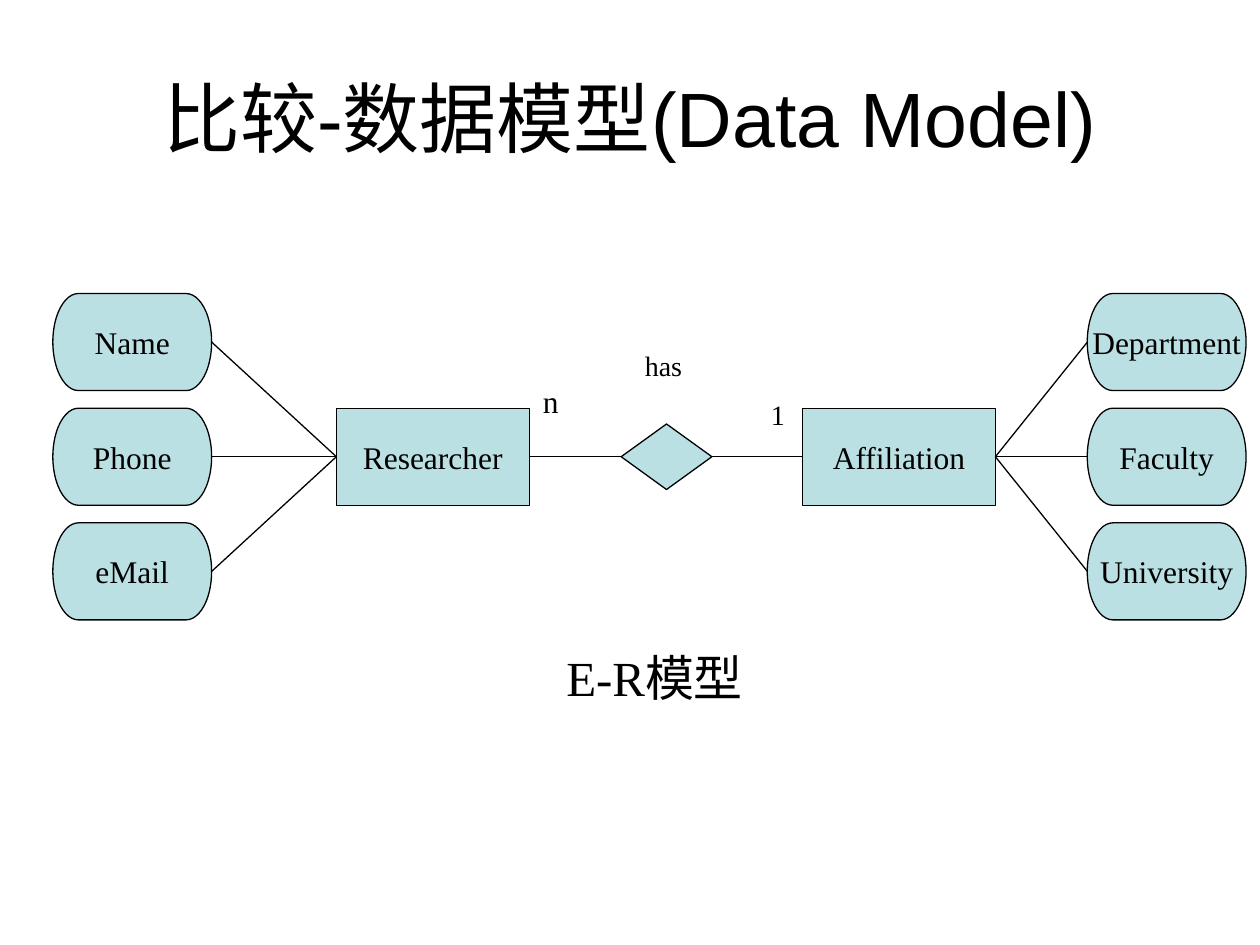
from lxml import etree
from pptx import Presentation
from pptx.dml.color import RGBColor
from pptx.enum.shapes import MSO_CONNECTOR, MSO_SHAPE
from pptx.enum.text import MSO_ANCHOR, MSO_AUTO_SIZE, PP_ALIGN
from pptx.oxml.ns import qn
from pptx.util import Inches, Pt

LINE = MSO_CONNECTOR.STRAIGHT
ENTITY = MSO_SHAPE.FLOWCHART_PROCESS
RELATION = MSO_SHAPE.FLOWCHART_DECISION
FIELD = MSO_SHAPE.FLOWCHART_TERMINATOR
MIDDLE = MSO_ANCHOR.MIDDLE
GROW = MSO_AUTO_SIZE.SHAPE_TO_FIT_TEXT
LEFT, CENTER = PP_ALIGN.LEFT, PP_ALIGN.CENTER
LEFT_SIDE, RIGHT_SIDE = 1, 3  # connection sites

COLORS = {"ink": "000000", "fill": "BBE0E3"}
INK = RGBColor.from_string(COLORS["ink"])
FILL = RGBColor.from_string(COLORS["fill"])

prs = Presentation()
prs.slide_width, prs.slide_height = Inches(10), Inches(7.5)
slide = prs.slides.add_slide(prs.slide_layouts[5])
shapes = slide.shapes


def write(frame, text, size, align=CENTER, face="Times New Roman"):
    frame.text = text
    para = frame.paragraphs[0]
    para.alignment = align
    for name, value in {"name": face, "size": Pt(size)}.items():
        setattr(para.font, name, value)
    para.font.color.rgb = INK


def add_node(kind, x, y, w, h, text=""):
    node = shapes.add_shape(kind, Inches(x), Inches(y), Inches(w), Inches(h))
    node.shadow.inherit = False
    node.fill.solid()
    node.fill.fore_color.rgb = FILL
    node.line.color.rgb = INK
    node.line.width = Pt(0.75)
    if text:
        frame = node.text_frame
        frame.word_wrap = False
        frame.vertical_anchor = MIDDLE
        write(frame, text, 18)
    return node


# Title
title = shapes.title
title.left, title.top = Inches(0.5), Inches(0.3)
title.width, title.height = Inches(9), Inches(1.25)
title.text_frame.vertical_anchor = MIDDLE
write(title.text_frame, "比较-数据模型(Data Model)", 44, face="Arial")

# Entities and their relation, on one centre line
top, high, step = 3.24, 0.77, 0.91
gem = 0.52
person = add_node(ENTITY, 2.67, top, 1.53, high, "Researcher")
group = add_node(ENTITY, 6.37, top, 1.53, high, "Affiliation")
has = add_node(RELATION, 4.93, top + (high - gem) / 2, 0.72, gem)
links = [(person, RIGHT_SIDE, has, LEFT_SIDE),
         (has, RIGHT_SIDE, group, LEFT_SIDE)]

# Attributes of each entity
sides = [
    (0.42, person, RIGHT_SIDE, LEFT_SIDE, ["Name", "Phone", "eMail"]),
    (8.63, group, LEFT_SIDE, RIGHT_SIDE,
     ["Department", "Faculty", "University"]),
]
for x, owner, start, end, names in sides:
    for row, name in enumerate(names):
        y = top + (row - 1) * step
        field = add_node(FIELD, x, y, 1.26, high, name)
        links.append((field, start, owner, end))

for first, start, last, end in links:
    line = shapes.add_connector(LINE, 0, 0, 0, 0)
    line.begin_connect(first, start)
    line.end_connect(last, end)
    line.line.color.rgb = INK
    line.line.width = Pt(0.75)
    etree.SubElement(line._element.spPr, qn("a:effectLst"))

# Labels and caption
labels = [
    ("has", 5.02, 2.72, 0.54, 0.37, 16, LEFT, False),
    ("1", 6.02, 3.11, 0.33, 0.37, 16, LEFT, False),
    ("n", 4.21, 2.98, 0.38, 0.4, 18, LEFT, True),
    ("E-R模型", 3.5, 5.09, 3.39, 0.57, 28, CENTER, True),
]
for text, x, y, w, h, size, align, wrap in labels:
    box = shapes.add_textbox(Inches(x), Inches(y), Inches(w), Inches(h))
    box.text_frame.word_wrap = wrap
    box.text_frame.auto_size = GROW
    write(box.text_frame, text, size, align)

prs.save("out.pptx")
